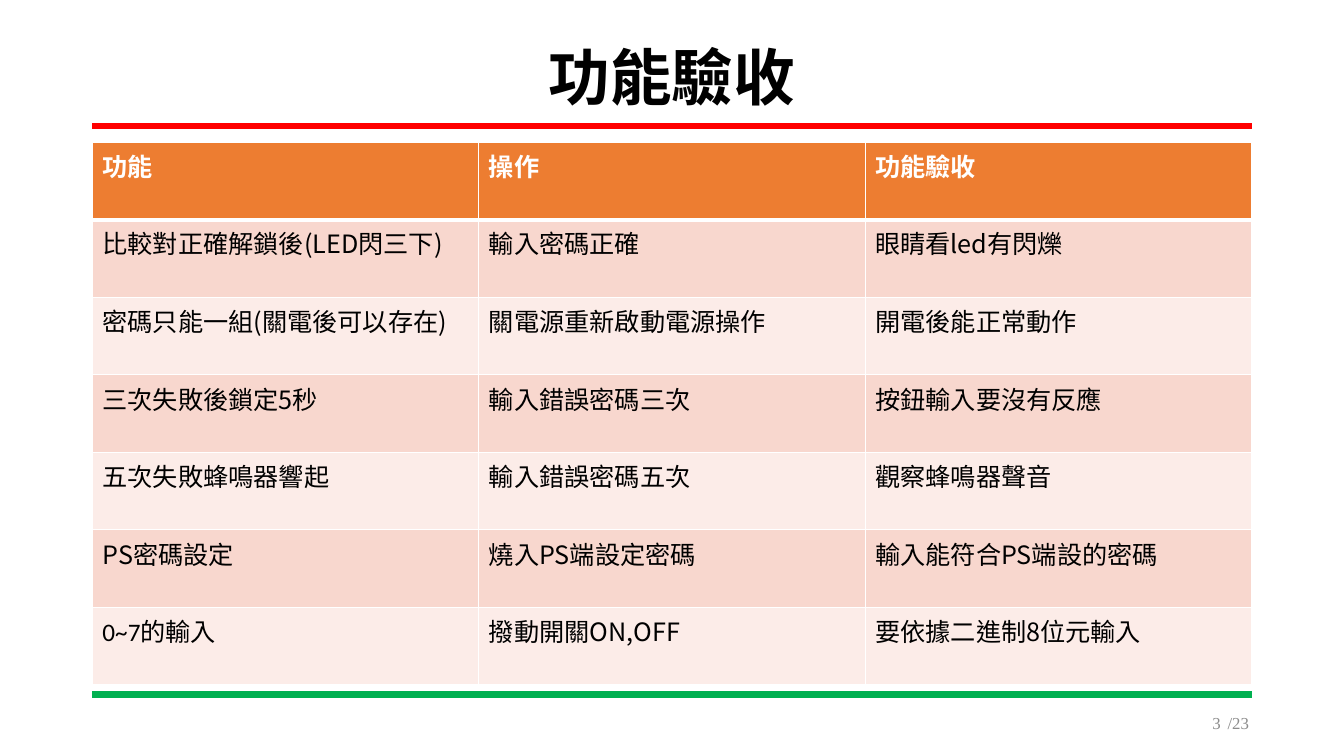
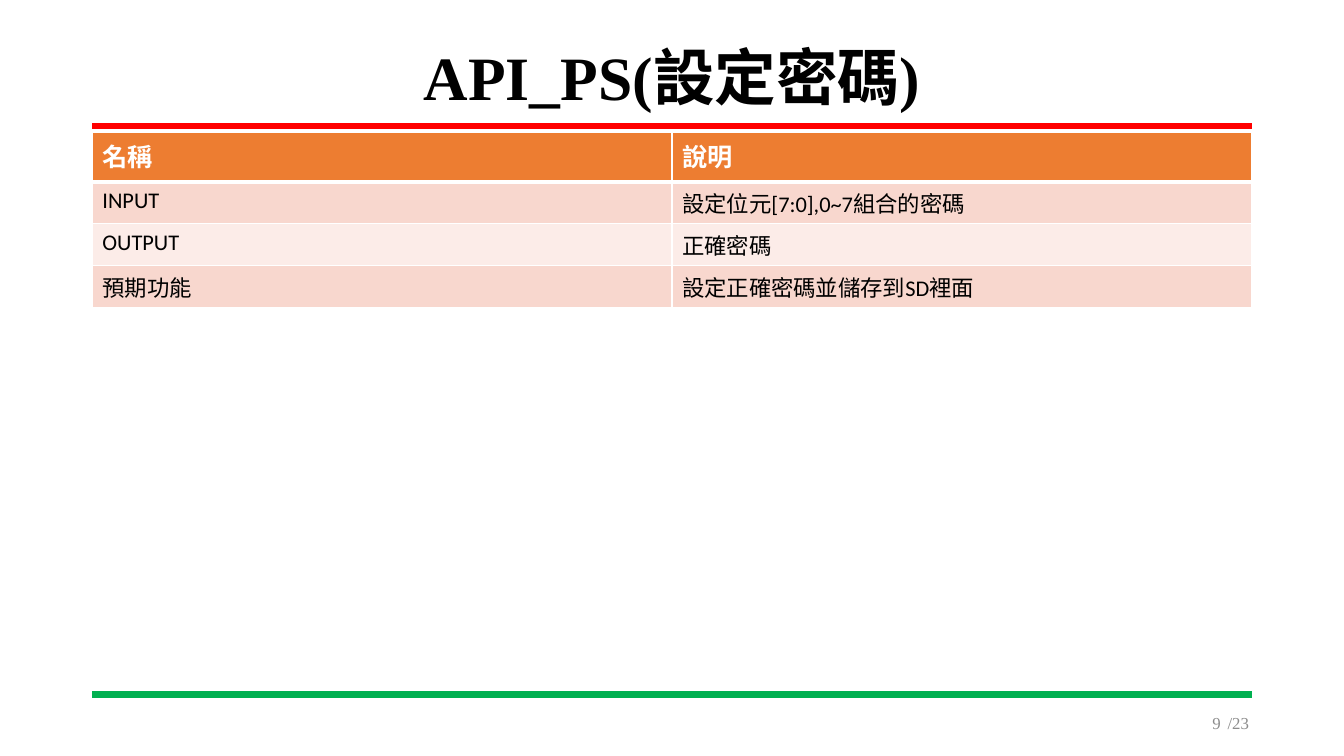
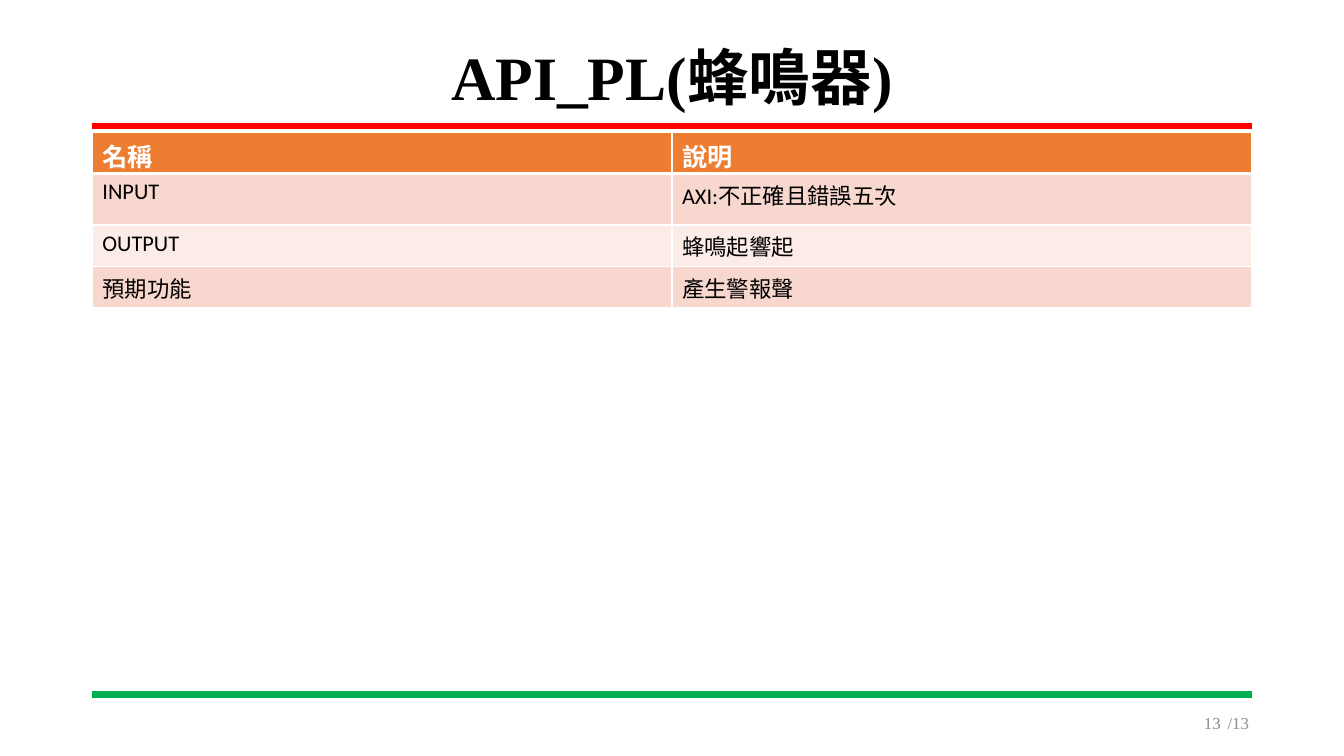
import pptx
import pptx.dml.color
import pptx.enum.shapes
import pptx.enum.text
import pptx.oxml
import pptx.oxml.ns
import pptx.util

Pt = pptx.util.Pt
RGBColor = pptx.dml.color.RGBColor
ALIGN = pptx.enum.text.PP_ALIGN
MIDDLE = pptx.enum.text.MSO_ANCHOR.MIDDLE

RED = RGBColor(0xFF, 0x00, 0x00)
GREEN = RGBColor(0x00, 0xB0, 0x50)
ORANGE = RGBColor(0xED, 0x7D, 0x31)
ROSE = RGBColor(0xF8, 0xD7, 0xCE)
PALE_ROSE = RGBColor(0xFC, 0xEC, 0xE8)
WHITE = RGBColor(0xFF, 0xFF, 0xFF)
BLACK = RGBColor(0x00, 0x00, 0x00)
GRAY = RGBColor(0x8C, 0x8C, 0x8C)

SERIF = "Times New Roman"
SANS = "Calibri"
CJK = "Noto Sans CJK SC"

LEFT, WIDTH = 66, 828


class Deck:
    def __init__(self):
        self.prs = pptx.Presentation()
        self.prs.slide_width = Pt(960)
        self.prs.slide_height = Pt(540)
        self.slide = None

    def add_slide(self, title, page, total):
        self.slide = self.prs.slides.add_slide(self.prs.slide_layouts[5])
        self.add_title(title)
        self.add_rule(90, RED)
        self.add_rule(496, GREEN)
        self.add_label(f"/{total}", 865, 39, ALIGN.CENTER)
        self.add_label(str(page), 684, 195, ALIGN.RIGHT)

    def style(self, frame, font, size, color, bold=False, align=ALIGN.LEFT):
        for paragraph in frame.paragraphs:
            paragraph.alignment = align
            for run in paragraph.runs:
                run.font.name = font
                run.font.size = Pt(size)
                run.font.bold = bold
                run.font.color.rgb = color
                properties = run.font._element
                properties.set("lang", "zh-TW")
                east_asian = pptx.oxml.parse_xml(
                    f'<a:ea {pptx.oxml.ns.nsdecls("a")} typeface="{CJK}"/>')
                properties.find(pptx.oxml.ns.qn("a:latin")).addnext(east_asian)

    def add_title(self, text):
        title = self.slide.shapes.title
        title.left, title.top = Pt(LEFT), Pt(28.8)
        title.width, title.height = Pt(WIDTH), Pt(57)
        frame = title.text_frame
        frame.text = text
        frame.vertical_anchor = MIDDLE
        frame.paragraphs[0].line_spacing = 0.9
        self.style(frame, SERIF, 44, BLACK, True, ALIGN.CENTER)

    def add_rule(self, y, color):
        rule = self.slide.shapes.add_connector(
            pptx.enum.shapes.MSO_CONNECTOR.STRAIGHT,
            Pt(LEFT), Pt(y), Pt(LEFT + WIDTH), Pt(y))
        rule.line.color.rgb = color
        rule.line.width = Pt(4.5)
        rule._element.spPr.append(
            pptx.oxml.parse_xml(f'<a:effectLst {pptx.oxml.ns.nsdecls("a")}/>'))

    def add_label(self, text, left, width, align):
        label = self.slide.shapes.add_textbox(Pt(left), Pt(502), Pt(width), Pt(28.8))
        frame = label.text_frame
        frame.word_wrap = True
        frame.vertical_anchor = MIDDLE
        frame.text = text
        self.style(frame, SERIF, 12, GRAY, align=align)

    def add_borders(self, cell, top, bottom):
        properties = cell._tc.get_or_add_tcPr()
        for side, width in (("L", 1), ("R", 1), ("T", top), ("B", bottom)):
            properties.append(pptx.oxml.parse_xml(
                f'<a:ln{side} {pptx.oxml.ns.nsdecls("a")} w="{Pt(width)}">'
                f'<a:solidFill><a:srgbClr val="{WHITE}"/></a:solidFill></a:ln{side}>'))

    def add_table(self, rows, top, heights, font, body_size, special_fonts={}):
        columns = len(rows[0])
        table = self.slide.shapes.add_table(
            len(rows), columns, Pt(LEFT), Pt(top), Pt(WIDTH), Pt(sum(heights))).table
        for column in table.columns:
            column.width = Pt(WIDTH / columns)
        for r, (texts, height) in enumerate(zip(rows, heights)):
            table.rows[r].height = Pt(height)
            header = r == 0
            fill = ORANGE if header else ROSE if r % 2 else PALE_ROSE
            for c, text in enumerate(texts):
                cell = table.cell(r, c)
                self.add_borders(cell, 3 if r == 1 else 1, 3 if header else 1)
                cell.fill.solid()
                cell.fill.fore_color.rgb = fill
                cell.text_frame.text = text
                self.style(cell.text_frame, special_fonts.get(text, font),
                           18 if header else body_size,
                           WHITE if header else BLACK, header)


def main():
    deck = Deck()

    deck.add_slide("功能驗收", 3, 23)
    acceptance = [
        ("功能", "操作", "功能驗收"),
        ("比較對正確解鎖後(LED閃三下)", "輸入密碼正確", "眼睛看led有閃爍"),
        ("密碼只能一組(關電後可以存在)", "關電源重新啟動電源操作", "開電後能正常動作"),
        ("三次失敗後鎖定5秒", "輸入錯誤密碼三次", "按鈕輸入要沒有反應"),
        ("五次失敗蜂鳴器響起", "輸入錯誤密碼五次", "觀察蜂鳴器聲音"),
        ("PS密碼設定", "燒入PS端設定密碼", "輸入能符合PS端設的密碼"),
        ("0~7的輸入", "撥動開關ON,OFF", "要依據二進制8位元輸入"),
    ]
    deck.add_table(acceptance, 101.5, [55.4] * 7, CJK, 18, {"0~7的輸入": SANS})

    interfaces = [
        ("API_PS(設定密碼)", 9, 23, [35.3, 30, 30, 30],
         ("設定位元[7:0],0~7組合的密碼", "正確密碼", "設定正確密碼並儲存到SD裡面")),
        ("API_PL(蜂鳴器)", 13, 13, [29.5, 36.7, 29.5, 29.5],
         ("AXI:不正確且錯誤五次", "蜂鳴起響起", "產生警報聲")),
    ]
    for title, page, total, heights, descriptions in interfaces:
        deck.add_slide(title, page, total)
        rows = [("名稱", "說明"), *zip(("INPUT", "OUTPUT", "預期功能"), descriptions)]
        deck.add_table(rows, 94.5, heights, SANS, 16)

    deck.prs.save("out.pptx")


if __name__ == "__main__":
    main()
